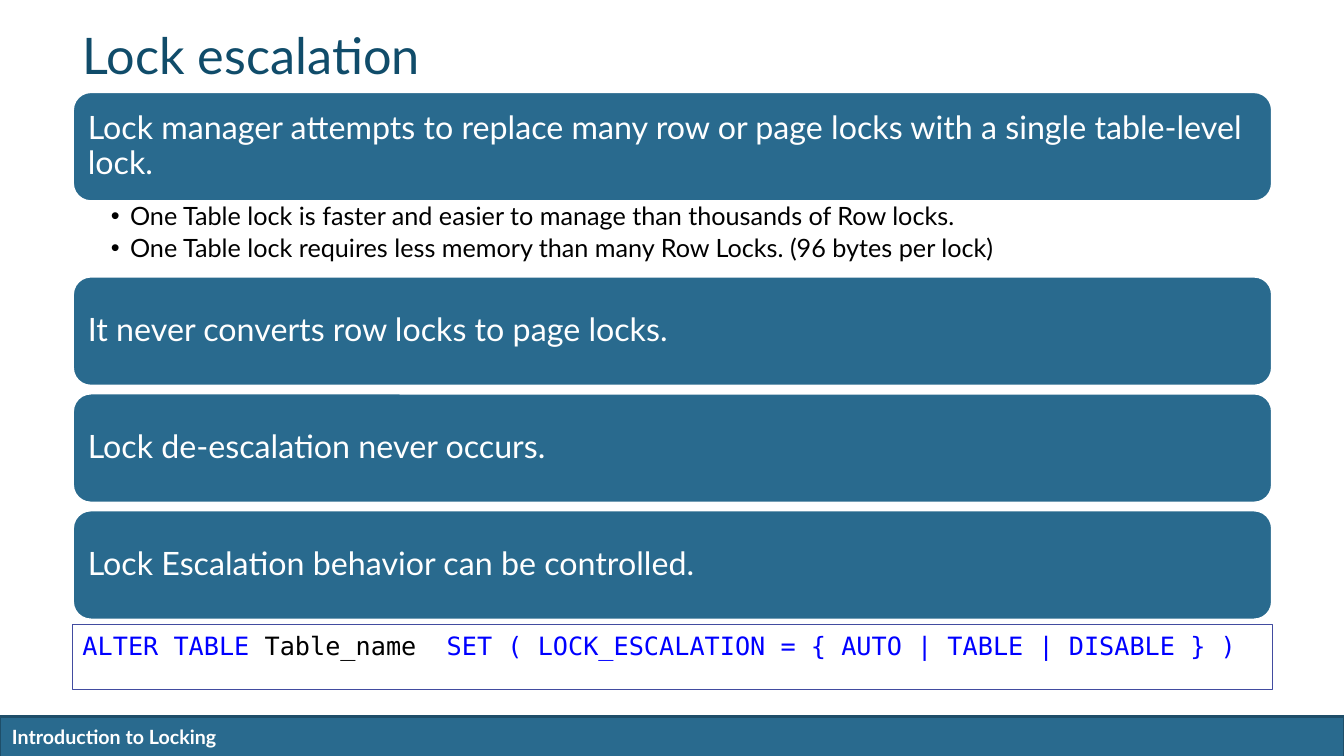
from lxml import etree
from pptx import Presentation
from pptx.dml.color import RGBColor
from pptx.enum.shapes import MSO_SHAPE
from pptx.enum.text import MSO_ANCHOR, MSO_AUTO_SIZE, PP_ALIGN
from pptx.oxml.ns import qn
from pptx.util import Inches, Pt

RECT, ROUNDED = MSO_SHAPE.RECTANGLE, MSO_SHAPE.ROUNDED_RECTANGLE
LEFT = PP_ALIGN.LEFT
TOP, MIDDLE = MSO_ANCHOR.TOP, MSO_ANCHOR.MIDDLE
NO_FIT = MSO_AUTO_SIZE.NONE

BLUE, WHITE, BLACK, CODE_BLUE = "296A8E", "FFFFFF", "000000", "0000FF"
SANS, MONO = "Lato", "DejaVu Sans Mono"
MARGIN, WIDTH = 0.72, 11.9
BAR_HEIGHT, BAR_STEP = 1.09, 1.16

LEAD = "Lock manager attempts to replace many row or page locks with a single table-level lock."
DETAILS = [
    "One Table lock is faster and easier to manage than thousands of Row locks.",
    "One Table lock requires less memory than many Row Locks. (96 bytes per lock)",
]
RULES = [
    "It never converts row locks to page locks.",
    "Lock de-escalation never occurs.",
    "Lock Escalation behavior can be controlled.",
]
CODE = [
    ("ALTER TABLE ", CODE_BLUE),
    ("Table_name  ", BLACK),
    ("SET ( LOCK_ESCALATION = { AUTO | TABLE | DISABLE } )", CODE_BLUE),
]


def color(value):
    return RGBColor.from_string(value)


def style(font, size, shade, name=SANS, bold=False):
    font.size, font.name, font.bold = Pt(size), name, bold
    font.color.rgb = color(shade)


def place(shape, box):
    shape.left, shape.top, shape.width, shape.height = map(Inches, box)


def set_frame(frame, insets, anchor):
    frame.word_wrap = True
    frame.auto_size = NO_FIT
    frame.vertical_anchor = anchor
    (frame.margin_left, frame.margin_top,
     frame.margin_right, frame.margin_bottom) = map(Inches, insets)


def add_box(page, kind, box, fill, line, line_width):
    shape = page.shapes.add_shape(kind, *map(Inches, box))
    shape.shadow.inherit = False
    if fill:
        shape.fill.solid()
        shape.fill.fore_color.rgb = color(fill)
    else:
        shape.fill.background()
    shape.line.color.rgb = color(line)
    shape.line.width = Pt(line_width)
    return shape


def add_footer(page, box):
    left, top, width, height = box
    add_box(page, RECT, box, BLUE, "1E4E69", 2)
    label = page.shapes.add_textbox(
        *map(Inches, (left + 0.02, top + 0.03, 6.06, height - 0.06)))
    set_frame(label.text_frame, (0.1, 0.05, 0.1, 0.05), TOP)
    para = label.text_frame.paragraphs[0]
    para.text = "Introduction to Locking"
    style(para.runs[0].font, 14, WHITE, bold=True)


def add_title(page, box):
    title = page.shapes.title
    place(title, box)
    set_frame(title.text_frame, (0.1, 0.05, 0.1, 0.05), MIDDLE)
    para = title.text_frame.paragraphs[0]
    para.text = "Lock escalation"
    para.alignment = LEFT
    para.line_spacing = Pt(35)
    style(para.runs[0].font, 36, "104C6A")


def add_bar(page, box, text):
    bar = add_box(page, ROUNDED, box, BLUE, WHITE, 2)
    set_frame(bar.text_frame, (0.1, 0.1, 0.1, 0.1), MIDDLE)
    para = bar.text_frame.paragraphs[0]
    para.text = text
    para.alignment = LEFT
    para.line_spacing = 0.9
    style(para.runs[0].font, 23, WHITE)


def add_details(page, box, lines):
    body = page.placeholders[1]
    place(body, box)
    frame = body.text_frame
    set_frame(frame, (0.38, 0.03, 0.18, 0.03), TOP)
    frame.text = "\n".join(lines)
    for para in frame.paragraphs:
        properties = para._p.get_or_add_pPr()
        properties.set("marL", str(Inches(0.19)))
        properties.set("indent", str(-Inches(0.19)))
        etree.SubElement(properties, qn("a:buChar"), char="•")
        para.line_spacing = 0.9
        para.space_before = Pt(0)
        para.space_after = Pt(3.6)
        style(para.runs[0].font, 18, BLACK)


def add_code(page, box, parts):
    panel = add_box(page, RECT, box, None, "424CA0", 0.75)
    set_frame(panel.text_frame, (0.1, 0.05, 0.1, 0.05), TOP)
    para = panel.text_frame.paragraphs[0]
    para.alignment = LEFT
    for text, shade in parts:
        span = para.add_run()
        span.text = text
        style(span.font, 18, shade, MONO)


def main():
    deck = Presentation()
    deck.slide_width, deck.slide_height = Inches(13.33), Inches(7.5)
    page = deck.slides.add_slide(deck.slide_layouts[1])

    # Footer band and heading
    add_footer(page, (0, 7.11, 13.33, 0.4))
    add_title(page, (MARGIN, 0.35, WIDTH, 0.5))

    # Lead statement with its details
    add_bar(page, (MARGIN, 0.91, WIDTH, BAR_HEIGHT), LEAD)
    add_details(page, (MARGIN, 1.99, WIDTH, 0.74), DETAILS)

    # Evenly stacked rules
    for index, rule in enumerate(RULES):
        add_bar(page, (MARGIN, 2.74 + index * BAR_STEP, WIDTH, BAR_HEIGHT), rule)

    # Statement that controls escalation
    add_code(page, (MARGIN, 6.2, WIDTH, 0.64), CODE)
    deck.save("out.pptx")


if __name__ == "__main__":
    main()
